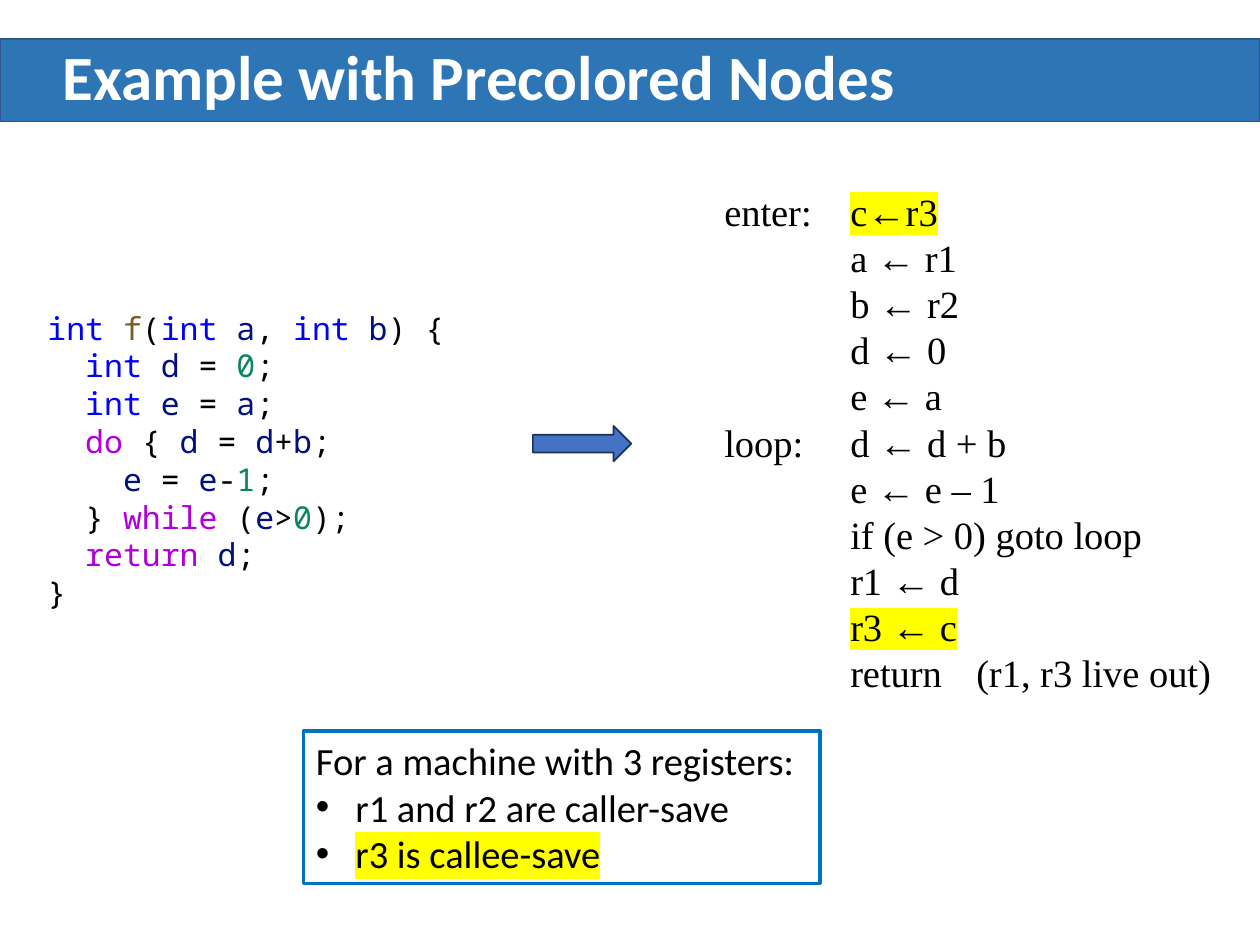
from itertools import groupby

from lxml.etree import SubElement
from pptx import Presentation
from pptx.dml.color import RGBColor
from pptx.enum.shapes import MSO_SHAPE as Preset
from pptx.enum.text import MSO_ANCHOR as Anchor, PP_ALIGN as Align
from pptx.oxml.ns import qn
from pptx.util import Pt

WHITE = RGBColor(0xFF, 0xFF, 0xFF)
BLACK = RGBColor(0x00, 0x00, 0x00)
BANNER_FILL = RGBColor(0x2E, 0x75, 0xB6)
BANNER_LINE = RGBColor(0x32, 0x54, 0x91)
ARROW_FILL = RGBColor(0x44, 0x72, 0xC4)
ARROW_LINE = RGBColor(0x1E, 0x32, 0x56)
NOTE_LINE = RGBColor(0x00, 0x70, 0xC0)
HIGHLIGHT = RGBColor(0xFF, 0xFF, 0x00)
TYPE_COLOR = RGBColor(0x00, 0x00, 0xFF)
FUNCTION_COLOR = RGBColor(0x79, 0x5E, 0x26)
VARIABLE_COLOR = RGBColor(0x00, 0x10, 0x80)
NUMBER_COLOR = RGBColor(0x09, 0x86, 0x58)
CONTROL_COLOR = RGBColor(0xAF, 0x00, 0xDB)

WORD_COLORS = {"int": TYPE_COLOR, "f": FUNCTION_COLOR, "do": CONTROL_COLOR,
               "while": CONTROL_COLOR, "return": CONTROL_COLOR}

SOURCE_CODE = """\
int f(int a, int b) {
  int d = 0;
  int e = a;
  do { d = d+b;
    e = e-1;
  } while (e>0);
  return d;
}"""

INSTRUCTIONS = [
    ("enter:", "c←r3"), ("", "a ← r1"), ("", "b ← r2"), ("", "d ← 0"),
    ("", "e ← a"), ("loop:", "d ← d + b"), ("", "e ← e – 1"),
    ("", "if (e > 0) goto loop"), ("", "r1 ← d"), ("", "r3 ← c"),
    ("", "return\t(r1, r3 live out)"),
]
SAVE_INSTRUCTIONS = {"c←r3", "r3 ← c"}


def add_panel(page, preset, bounds, fill, line, width=1):
    """Add a preset shape with an outline and an optional fill."""
    panel = page.shapes.add_shape(preset, *map(Pt, bounds))
    panel.shadow.inherit = False
    if fill is None:
        panel.fill.background()
    else:
        panel.fill.solid()
        panel.fill.fore_color.rgb = fill
    panel.line.color.rgb = line
    panel.line.width = Pt(width)
    return panel


def add_text_box(page, bounds):
    """Add a wrapping text box and return its text frame."""
    frame = page.shapes.add_textbox(*map(Pt, bounds)).text_frame
    frame.word_wrap = True
    return frame


def next_paragraph(frame, index):
    """Return the first paragraph for index 0, otherwise a new one."""
    return frame.add_paragraph() if index else frame.paragraphs[0]


def style_paragraph(para, name, size, color=BLACK, bold=False):
    """Set the left-aligned font style of a paragraph."""
    para.alignment = Align.LEFT
    para.font.name = name
    para.font.size = Pt(size)
    para.font.bold = bold
    para.font.color.rgb = color


def add_span(para, text, highlighted=False):
    """Add a run, highlighted on request."""
    span = para.add_run()
    span.text = text
    if highlighted:
        mark = SubElement(span.font._element, qn("a:highlight"))
        SubElement(mark, qn("a:srgbClr"), val=str(HIGHLIGHT))
    return span


def add_bullet(para, indent):
    """Give a paragraph a hanging round bullet."""
    properties = para._p.get_or_add_pPr()
    properties.set("marL", str(Pt(indent)))
    properties.set("indent", str(-Pt(indent)))
    SubElement(properties, qn("a:buFont"), typeface="Arial")
    SubElement(properties, qn("a:buChar"), char="•")


def add_tab_stops(para, positions):
    """Set left tab stops on a paragraph."""
    stops = SubElement(para._p.get_or_add_pPr(), qn("a:tabLst"))
    for position in positions:
        SubElement(stops, qn("a:tab"), pos=str(Pt(position)), algn="l")


def token_color(token):
    """Return the syntax colour of a code token."""
    if not token.isalnum():
        return BLACK
    if token.isdigit():
        return NUMBER_COLOR
    return WORD_COLORS.get(token, VARIABLE_COLOR)


def add_title(page, text):
    """Add the banner and the slide title on it."""
    add_panel(page, Preset.RECTANGLE, (0, 22.5, 720, 47), BANNER_FILL, BANNER_LINE)
    frame = add_text_box(page, (28.8, 22.5, 665, 47))
    frame.vertical_anchor = Anchor.MIDDLE
    para = frame.paragraphs[0]
    para.line_spacing = 0.9
    style_paragraph(para, "Calibri", 36, WHITE, bold=True)
    add_span(para, text)


def add_source_code(page):
    """Add the C function with syntax colours."""
    frame = add_text_box(page, (20, 172.8, 248, 181.4))
    for index, line in enumerate(SOURCE_CODE.splitlines()):
        para = next_paragraph(frame, index)
        style_paragraph(para, "Noto Sans Mono", 18)
        for _, characters in groupby(line, str.isalnum):
            token = "".join(characters)
            add_span(para, token).font.color.rgb = token_color(token)


def add_instructions(page):
    """Add the register-level instructions in label and body columns."""
    frame = add_text_box(page, (406.8, 103.7, 295.2, 300))
    for index, (label, body) in enumerate(INSTRUCTIONS):
        para = next_paragraph(frame, index)
        add_tab_stops(para, (72, 144))
        style_paragraph(para, "Times New Roman", 22)
        add_span(para, label + "\t")
        add_span(para, body, body in SAVE_INSTRUCTIONS)


def add_register_note(page):
    """Add the outlined note on the register conventions."""
    note = add_panel(page, Preset.RECTANGLE, (173.5, 417.8, 295.2, 87),
                     None, NOTE_LINE, 2)
    frame = note.text_frame
    frame.word_wrap = True
    frame.vertical_anchor = Anchor.TOP
    lines = ["For a machine with 3 registers:", "r1 and r2 are caller-save",
             "r3 is callee-save"]
    for index, line in enumerate(lines):
        para = next_paragraph(frame, index)
        if index:
            add_bullet(para, 22.5)
        style_paragraph(para, "Calibri", 22)
        add_span(para, line, line.startswith("r3"))


def main():
    """Build and save the slide."""
    deck = Presentation()
    deck.slide_width, deck.slide_height = Pt(720), Pt(540)
    page = deck.slides.add_slide(deck.slide_layouts[6])
    add_title(page, "Example with Precolored Nodes")
    add_source_code(page)
    add_instructions(page)
    add_panel(page, Preset.RIGHT_ARROW, (304.5, 243.4, 56.2, 20.2),
              ARROW_FILL, ARROW_LINE)
    add_register_note(page)
    deck.save("out.pptx")


if __name__ == "__main__":
    main()
